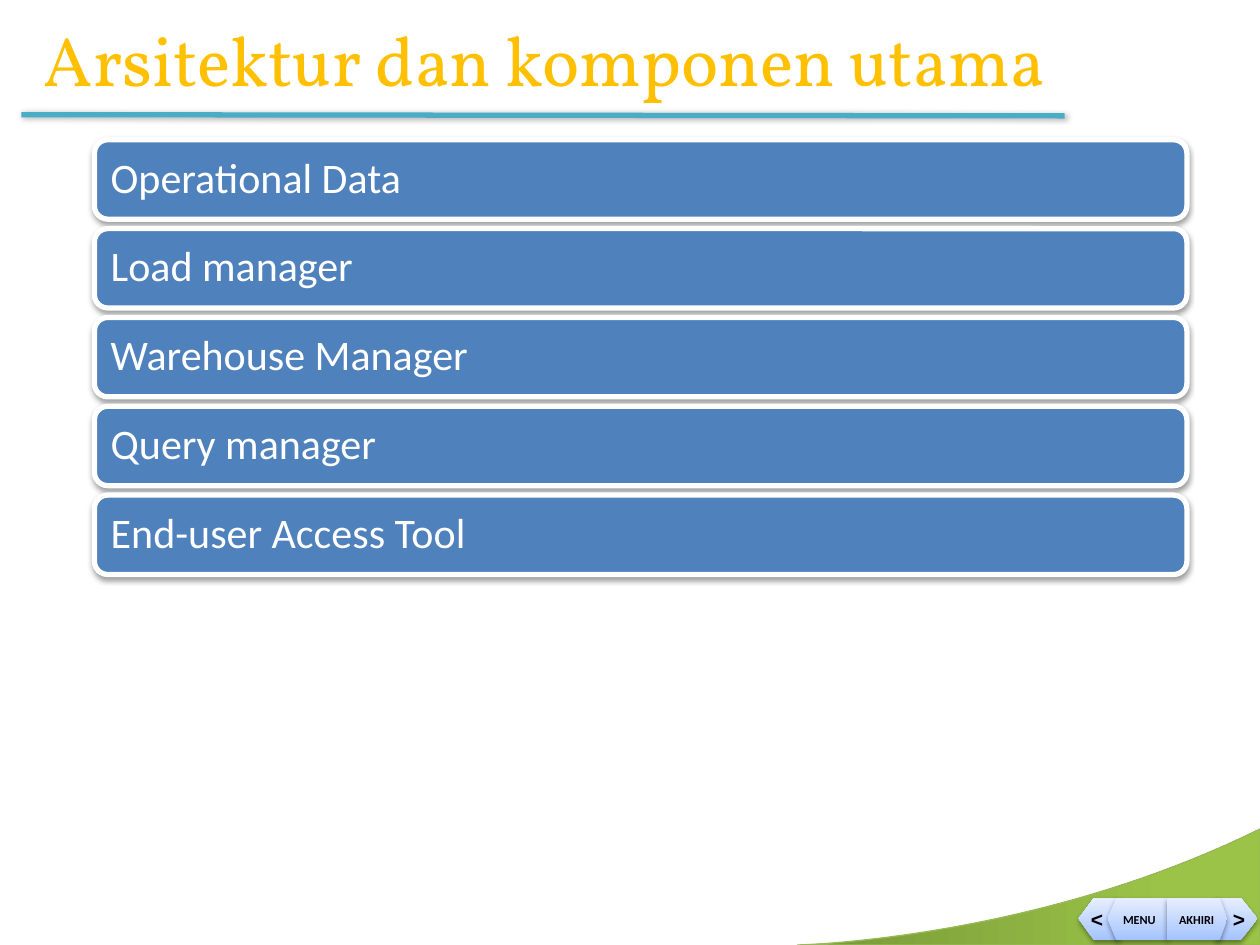
from lxml import etree
from pptx import Presentation
from pptx.dml.color import RGBColor
from pptx.enum.shapes import MSO_CONNECTOR, MSO_SHAPE
from pptx.enum.text import MSO_ANCHOR, PP_ALIGN
from pptx.oxml.ns import qn
from pptx.util import Inches, Pt

LEFT, RIGHT = PP_ALIGN.LEFT, PP_ALIGN.RIGHT
MIDDLE = MSO_ANCHOR.MIDDLE
COLORS = {
    "title": "FFC000", "rule": "4BACC6", "bar": "4F81BD", "white": "FFFFFF",
    "black": "000000", "hill_dark": "779737", "hill_light": "9BC348",
    "hill_edge": "98B955", "button_dark": "A4C4FF", "button_light": "E6EEFF",
}


def rgb(name):
    return RGBColor.from_string(COLORS[name])


def add_shadow(shape, opacity, distance, direction=90):
    properties = shape._element.spPr
    for old in properties.findall(qn("a:effectLst")):
        properties.remove(old)
    effects = etree.SubElement(properties, qn("a:effectLst"))
    shadow = etree.SubElement(
        effects, qn("a:outerShdw"), blurRad=str(Pt(3.1)), dist=str(Pt(distance)),
        dir=str(direction * 60000), algn="ctr", rotWithShape="0")
    color = etree.SubElement(shadow, qn("a:srgbClr"), val=COLORS["black"])
    etree.SubElement(color, qn("a:alpha"), val=str(opacity * 1000))


presentation = Presentation()
presentation.slide_width, presentation.slide_height = Inches(10), Inches(7.5)
slide = presentation.slides.add_slide(presentation.slide_layouts[6])
shapes = slide.shapes

# Outlines: the green hill follows a Bezier curve, the buttons are polygons
CURVE = [(6.33, 7.5), (6.38, 7.5), (8.24, 7.45), (10, 6.58)]
STEPS = 40
hill = []
for step in range(STEPS + 1):
    t = step / STEPS
    weights = [(1 - t) ** 3, 3 * t * (1 - t) ** 2, 3 * t ** 2 * (1 - t), t ** 3]
    hill.append([sum(w * point[axis] for w, point in zip(weights, CURVE))
                 for axis in (0, 1)])
hill.append((10, 7.5))

TOP, CENTER, BOTTOM = 7.13, 7.29, 7.46
back = [(8.89, TOP), (8.68, TOP), (8.56, CENTER), (8.68, BOTTOM), (8.89, BOTTOM), (8.82, CENTER)]
forward = [(9.64, TOP), (9.85, TOP), (9.98, CENTER), (9.85, BOTTOM), (9.64, BOTTOM), (9.72, CENTER)]
menu = [(9.27, TOP), (8.86, TOP), (8.79, CENTER), (8.86, BOTTOM), (9.27, BOTTOM)]
finish = [(9.26, TOP), (9.68, TOP), (9.74, CENTER), (9.68, BOTTOM), (9.26, BOTTOM)]

# Hill and navigation buttons: points, label, alignment, font, size
for points, label, alignment, font_name, size in [
    (hill, None, None, None, None),
    (back, "<", LEFT, "Arial", 12),
    (forward, ">", RIGHT, "Arial", 12),
    (menu, "MENU", RIGHT, "Calibri", 7),
    (finish, "AKHIRI", LEFT, "Calibri", 7),
]:
    corners = [(Inches(x), Inches(y)) for x, y in points]
    builder = shapes.build_freeform(*corners[0])
    builder.add_line_segments(corners[1:], close=True)
    shape = builder.convert_to_shape()
    kind = "button" if label else "hill"
    shape.fill.gradient()
    shape.fill.gradient_angle = 90 if label else 0
    first, last = shape.fill.gradient_stops
    first.color.rgb, last.color.rgb = rgb(kind + "_dark"), rgb(kind + "_light")
    first.position, last.position = 0, 1 if label else 0.8
    if not label:
        shape.line.color.rgb = rgb("hill_edge")
        shape.line.width = Pt(0.75)
        add_shadow(shape, 35, 1.8)
        continue
    shape.line.fill.background()
    add_shadow(shape, 38, 1.6)
    frame = shape.text_frame
    frame.word_wrap = True
    frame.vertical_anchor = MIDDLE
    frame.margin_left = Inches(0.1 if alignment == LEFT else 0)
    frame.margin_right = Inches(0.1 if alignment == RIGHT else 0)
    paragraph = frame.paragraphs[0]
    paragraph.text = label
    paragraph.alignment = alignment
    for key, value in {"name": font_name, "size": Pt(size), "bold": True}.items():
        setattr(paragraph.font, key, value)
    paragraph.font.color.rgb = rgb("black")

# Rule under the title
rule = shapes.add_connector(
    MSO_CONNECTOR.STRAIGHT, Inches(0.17), Inches(0.91), Inches(8.45), Inches(0.92))
rule.line.color.rgb = rgb("rule")
rule.line.width = Pt(3)
add_shadow(rule, 35, 1, 34)

# Title
title = shapes.add_textbox(Inches(0.25), Inches(0.08), Inches(8.5), Inches(0.76))
title.text_frame.word_wrap = True
paragraph = title.text_frame.paragraphs[0]
paragraph.text = "Arsitektur dan komponen utama"
paragraph.font.name = "Vollkorn"
paragraph.font.size = Pt(40)
paragraph.font.color.rgb = rgb("title")

# Component bars
BAR_TOP, BAR_PITCH = 1.11, 0.705
COMPONENTS = ["Operational Data", "Load manager", "Warehouse Manager",
              "Query manager", "End-user Access Tool"]
for index, component in enumerate(COMPONENTS):
    bar = shapes.add_shape(
        MSO_SHAPE.ROUNDED_RECTANGLE, Inches(0.75),
        Inches(BAR_TOP + index * BAR_PITCH), Inches(8.67), Inches(0.63))
    bar.fill.solid()
    bar.fill.fore_color.rgb = rgb("bar")
    bar.line.color.rgb = rgb("white")
    bar.line.width = Pt(3)
    add_shadow(bar, 38, 1.6)
    bar.text_frame.vertical_anchor = MIDDLE
    paragraph = bar.text_frame.paragraphs[0]
    paragraph.text = component
    paragraph.alignment = LEFT
    paragraph.line_spacing = 0.9
    paragraph.font.name = "Calibri"
    paragraph.font.size = Pt(24)
    paragraph.font.color.rgb = rgb("white")

presentation.save("out.pptx")
